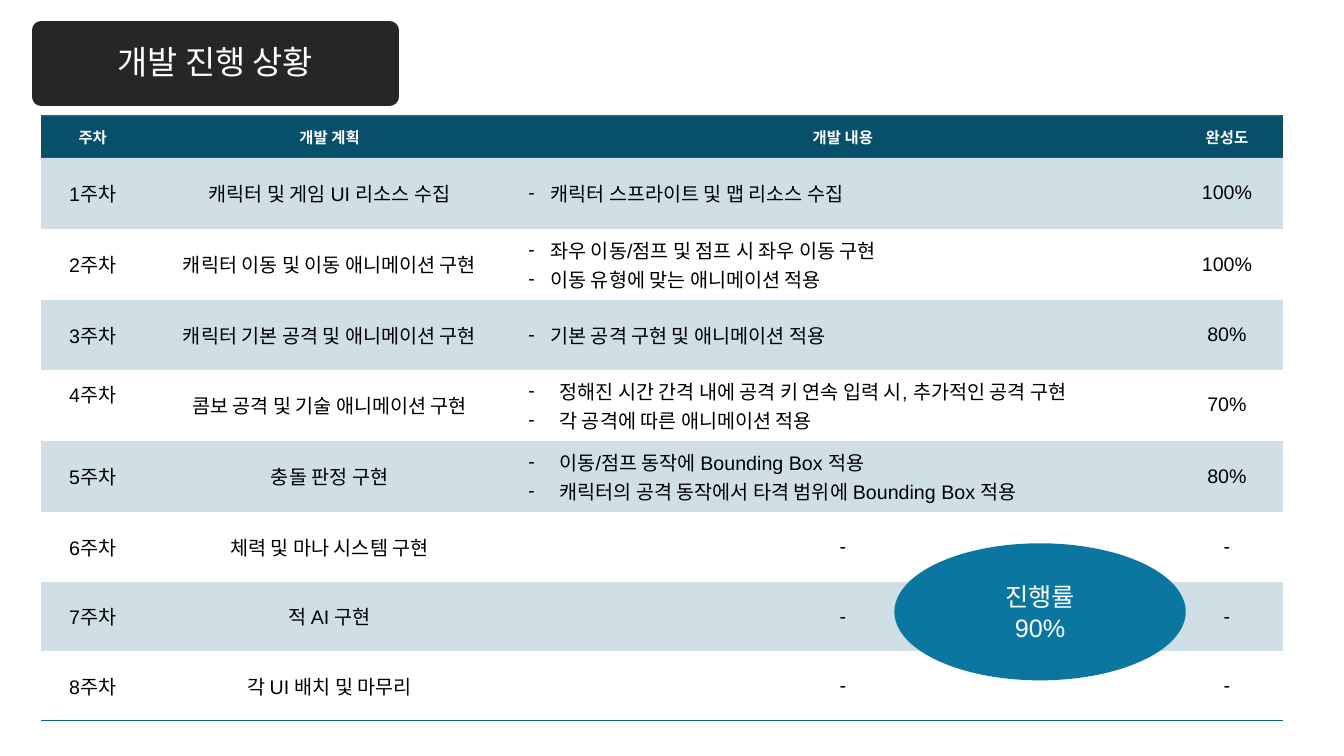
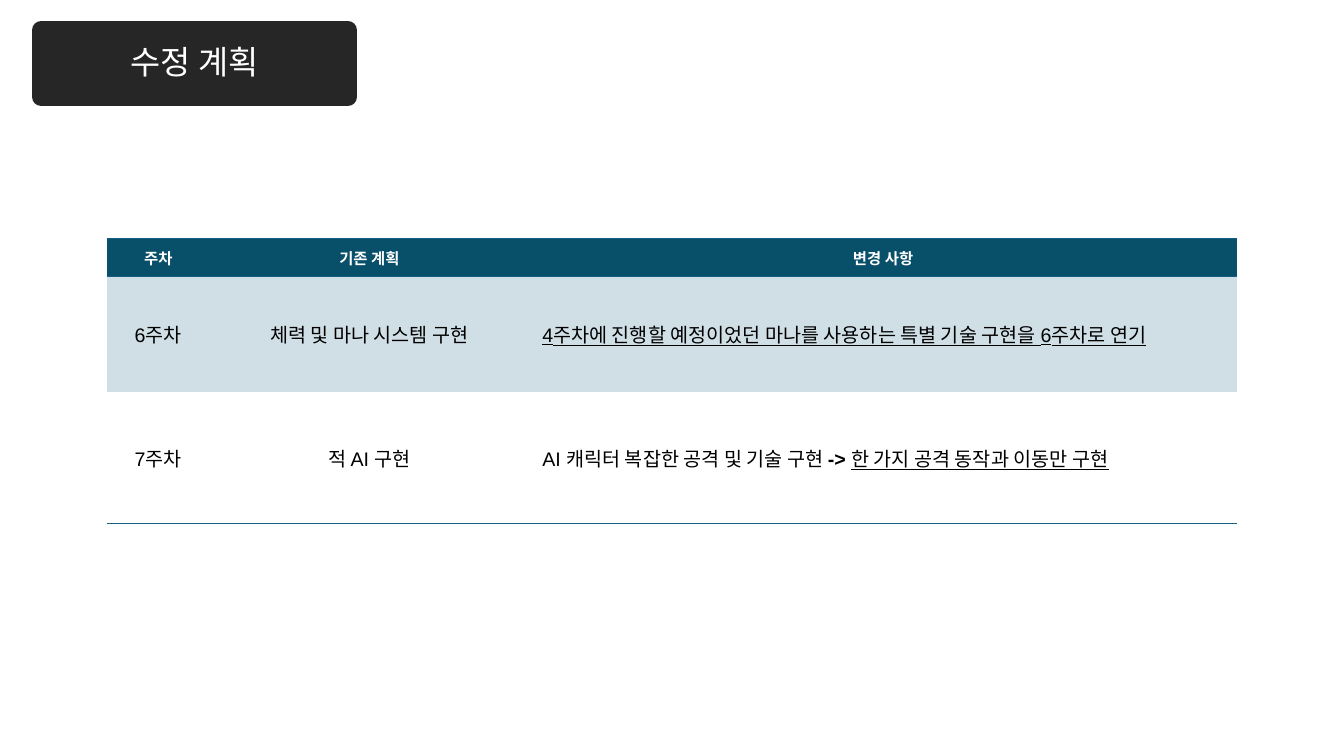
"""Build two slides on development progress and plan changes."""
from dataclasses import dataclass

from lxml import etree
from pptx import Presentation, util as u
from pptx.dml.color import RGBColor
from pptx.enum import shapes, text
from pptx.oxml import ns


@dataclass(frozen=True)
class Theme:
    """Colours, type sizes and font shared by the slides."""
    title_fill: str = "262626"
    header_fill: str = "084F6A"
    band_fill: str = "D0DFE6"
    badge_fill: str = "0B76A0"
    rule: str = "156082"
    light: str = "FFFFFF"
    dark: str = "000000"
    font: str = "Arial"
    title_size: float = 23.4
    badge_size: float = 18
    header_size: float = 11
    body_size: float = 14
    title_edge: float = 13.75
    rule_width: float = 1


@dataclass(frozen=True)
class Entry:
    """Table cell content: paragraphs made of (text, format) spans."""
    paras: tuple
    align: text.PP_ALIGN = text.PP_ALIGN.LEFT
    hang: float = 0
    lift: float = 0


THEME = Theme()
PLAIN_TABLE = "{2D5ABB26-0587-4C30-8999-92F81FD0307C}"
SHORT_HANG, LONG_HANG = 2.2, 3.1


def grid(count):
    """Return the length of a number of grid cells, ten to the inch."""
    return u.Inches(count / 10)


def colour(code):
    """Return the colour for a hexadecimal code."""
    return RGBColor.from_string(code)


def centred(words, lift=0):
    """Return a centred one-line entry."""
    return Entry((((words, {}),),), text.PP_ALIGN.CENTER, lift=lift)


def dashed(*lines, hang=SHORT_HANG):
    """Return an entry with one dashed paragraph per line."""
    return Entry(tuple(((line, {}),) for line in lines), hang=hang)


def add_span(para, words, *, size, color, bold=False, underline=False):
    """Add a formatted run of text to a paragraph."""
    span = para.add_run()
    span.text = words
    span.font.name = THEME.font
    span.font.size = u.Pt(size)
    span.font.color.rgb = colour(color)
    span.font.bold = bold
    span.font.underline = underline


def add_dash(para, hang):
    """Give a paragraph a hanging dash bullet."""
    props = para._p.get_or_add_pPr()
    props.set("marL", str(grid(hang)))
    props.set("indent", str(-grid(hang)))
    etree.SubElement(props, ns.qn("a:buFont"), typeface=THEME.font)
    etree.SubElement(props, ns.qn("a:buChar"), char="-")


def fill_frame(frame, entry, **style):
    """Write the paragraphs of an entry into a text frame."""
    frame.word_wrap = True
    for index, spans in enumerate(entry.paras):
        para = frame.add_paragraph() if index else frame.paragraphs[0]
        para.alignment = entry.align
        if entry.hang:
            add_dash(para, entry.hang)
        for words, extra in spans:
            add_span(para, words, **{**style, **extra})


def add_box(page, kind, place, fill, lines, size):
    """Add a filled shape with centred light text."""
    box = page.shapes.add_shape(kind, *map(grid, place))
    box.shadow.inherit = False
    box.fill.solid()
    box.fill.fore_color.rgb = colour(fill)
    box.line.fill.background()
    box.text_frame.vertical_anchor = text.MSO_ANCHOR.MIDDLE
    entry = Entry(tuple(((line, {}),) for line in lines), text.PP_ALIGN.CENTER)
    fill_frame(box.text_frame, entry, size=size, color=THEME.light)
    return box


def add_title(page, words, width):
    """Add the dark title plate with its thick rounded edge."""
    plate = add_box(page, shapes.MSO_SHAPE.RECTANGLE, (4.1, 3, width, 6.6),
                    THEME.title_fill, [words], THEME.title_size)
    plate.text_frame.paragraphs[0].line_spacing = 0.9
    plate.line.color.rgb = colour(THEME.title_fill)
    plate.line.width = u.Pt(THEME.title_edge)
    etree.SubElement(plate.element.xpath("./p:spPr/a:ln")[0], ns.qn("a:round"))


def add_rule(cell, side):
    """Draw a border on one side of a cell, given as T or B."""
    edge = etree.Element(ns.qn(f"a:ln{side}"), w=str(u.Pt(THEME.rule_width)))
    paint = etree.SubElement(edge, ns.qn("a:solidFill"))
    etree.SubElement(paint, ns.qn("a:srgbClr"), val=THEME.rule)
    cell._tc.get_or_add_tcPr().insert(0, edge)


def fill_cell(cell, entry, fill, **style):
    """Set the margins, fill and text of a table cell."""
    cell.margin_left = cell.margin_right = grid(1.3)
    cell.margin_top = grid(0.7)
    cell.margin_bottom = grid(0.7 + entry.lift)
    cell.vertical_anchor = text.MSO_ANCHOR.MIDDLE
    if fill:
        cell.fill.solid()
        cell.fill.fore_color.rgb = colour(fill)
    else:
        cell.fill.background()
    fill_frame(cell.text_frame, entry, **style)


def add_plan_table(page, left, top, widths, heights, header, rows):
    """Add a table with a dark header, banded rows and outer rules."""
    frame = page.shapes.add_table(len(heights), len(widths), grid(left), grid(top),
                                  grid(sum(widths)), grid(sum(heights)))
    frame.element.xpath(".//a:tableStyleId")[0].text = PLAIN_TABLE
    table = frame.table
    for column, width in zip(table.columns, widths):
        column.width = grid(width)
    for row, height in zip(table.rows, heights):
        row.height = grid(height)
    for number, entries in enumerate([header, *rows]):
        for cell, entry in zip(table.rows[number].cells, entries):
            if isinstance(entry, str):
                entry = centred(entry)
            if number == 0:
                fill_cell(cell, entry, THEME.header_fill, size=THEME.header_size,
                          color=THEME.light, bold=True)
                add_rule(cell, "B")
                add_rule(cell, "T")
            else:
                fill_cell(cell, entry, THEME.band_fill if number % 2 else None,
                          size=THEME.body_size, color=THEME.dark)
            if number == len(rows):
                add_rule(cell, "B")


def build_progress(page):
    """Build the weekly progress slide."""
    add_title(page, "개발 진행 상황", 34.5)
    rows = [
        ("1주차", "캐릭터 및 게임 UI 리소스 수집",
         dashed("캐릭터 스프라이트 및 맵 리소스 수집"), "100%"),
        ("2주차", "캐릭터 이동 및 이동 애니메이션 구현",
         dashed("좌우 이동/점프 및 점프 시 좌우 이동 구현",
                "이동 유형에 맞는 애니메이션 적용"), "100%"),
        ("3주차", "캐릭터 기본 공격 및 애니메이션 구현",
         dashed("기본 공격 구현 및 애니메이션 적용"), "80%"),
        (centred("4주차", lift=2.2), "콤보 공격 및 기술 애니메이션 구현",
         dashed("정해진 시간 간격 내에 공격 키 연속 입력 시, 추가적인 공격 구현",
                "각 공격에 따른 애니메이션 적용", hang=LONG_HANG), "70%"),
        ("5주차", "충돌 판정 구현",
         dashed("이동/점프 동작에 Bounding Box 적용",
                "캐릭터의 공격 동작에서 타격 범위에 Bounding Box 적용",
                hang=LONG_HANG), "80%"),
        ("6주차", "체력 및 마나 시스템 구현", "-", "-"),
        ("7주차", "적 AI 구현", "-", "-"),
        ("8주차", "각 UI 배치 및 마무리", "-", "-"),
    ]
    add_plan_table(page, 4.1, 11.5, [10.2, 36.8, 65, 11.2], [4.1, 7.1] + [6.9] * 7,
                   ("주차", "개발 계획", "개발 내용", "완성도"), rows)
    add_box(page, shapes.MSO_SHAPE.OVAL, (88.7, 53.9, 28.9, 13.6),
            THEME.badge_fill, ["진행률", "90%"], THEME.badge_size)


def build_changes(page):
    """Build the slide of changed plans."""
    add_title(page, "수정 계획", 30.4)
    marked = {"underline": True}
    delay = Entry(((("4주차에 진행할 예정이었던 마나를 사용하는 특별 기술 구현을 6주차로 연기",
                     marked),),))
    reduction = Entry(((("AI 캐릭터 복잡한 공격 및 기술 구현 ", {}),
                        ("-> ", {"bold": True}),
                        ("한 가지 공격 동작과 이동만 구현", marked)),))
    rows = [("6주차", "체력 및 마나 시스템 구현", delay),
            ("7주차", "적 AI 구현", reduction)]
    add_plan_table(page, 10.6, 23.7, [10.2, 31.7, 70.2], [3.7, 11.5, 13],
                   ("주차", "기존 계획", "변경 사항"), rows)


def main():
    """Create and save the deck."""
    deck = Presentation()
    deck.slide_width, deck.slide_height = u.Inches(13.33), u.Inches(7.5)
    for build in (build_progress, build_changes):
        build(deck.slides.add_slide(deck.slide_layouts[6]))
    deck.save("out.pptx")


if __name__ == "__main__":
    main()
